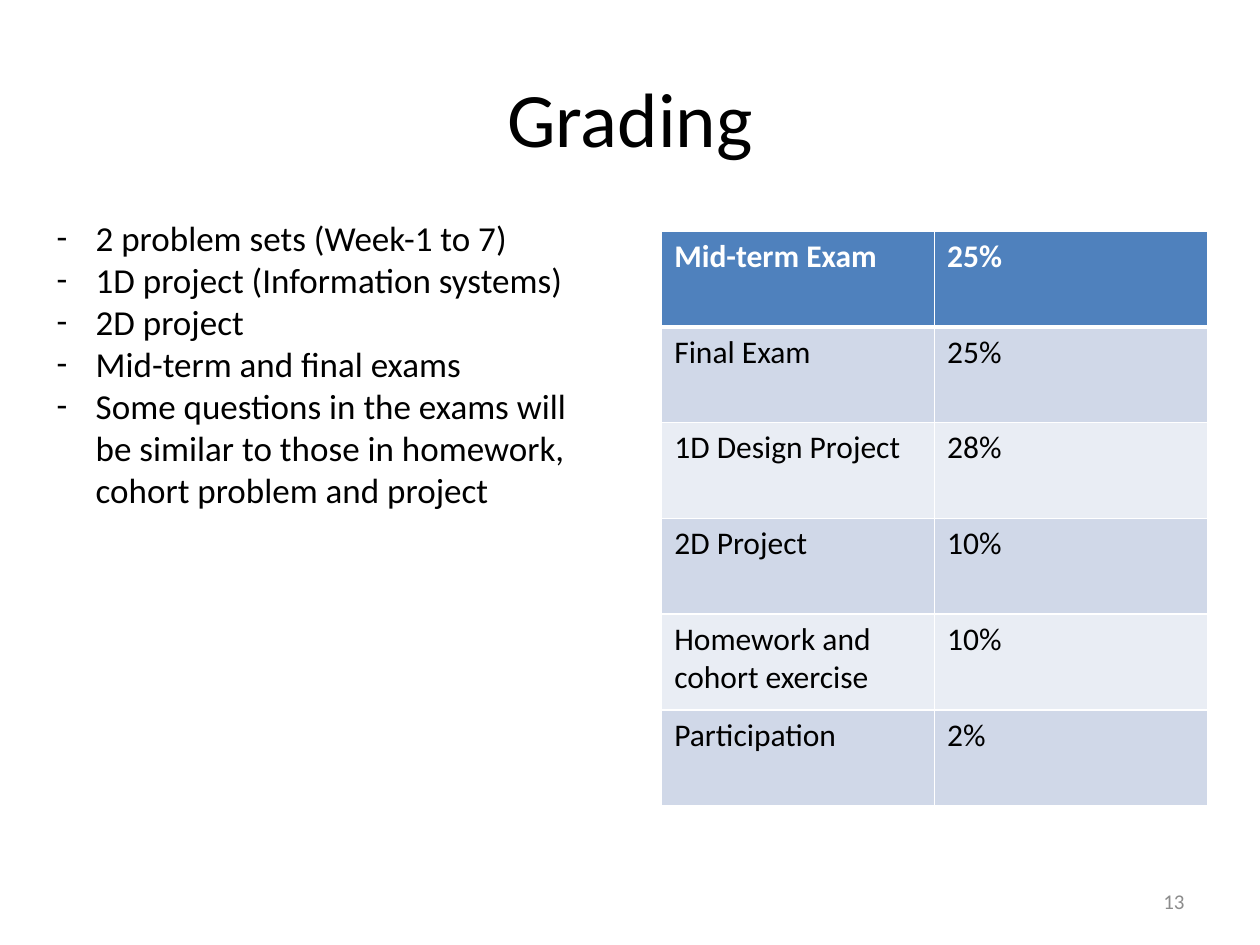
from typing import NamedTuple

from lxml import etree
from pptx import Presentation
from pptx import util as u
from pptx.dml.color import RGBColor
from pptx.enum import text as t
from pptx.oxml.ns import qn

BLACK = RGBColor(0x00, 0x00, 0x00)
WHITE = RGBColor(0xFF, 0xFF, 0xFF)
GREY = RGBColor(0x8C, 0x8C, 0x8C)
BLUE = RGBColor(0x4F, 0x81, 0xBD)
BANDS = (RGBColor(0xE9, 0xED, 0xF4), RGBColor(0xD0, 0xD8, 0xE8))


class Box(NamedTuple):
    left: float
    top: float
    width: float
    height: float


class Grade(NamedTuple):
    item: str
    share: str


TITLE = Box(1.27, 0.76, 22.86, 3.18)
NOTES = Box(0.89, 4.24, 11.63, 7.95)
NUMBER = Box(18.21, 17.65, 5.92, 1.02)
TABLE = Box(13.34, 4.66, 11, 11.58)

POINTS = [
    "2 problem sets (Week-1 to 7)",
    "1D project (Information systems)",
    "2D project",
    "Mid-term and final exams",
    "Some questions in the exams will be similar to those in homework, "
    "cohort problem and project",
]
GRADES = [
    Grade("Mid-term Exam", "25%"),
    Grade("Final Exam", "25%"),
    Grade("1D Design Project", "28%"),
    Grade("2D Project", "10%"),
    Grade("Homework and cohort exercise", "10%"),
    Grade("Participation", "2%"),
]


def write(frame, *lines: str, size: float, color=BLACK, bold=False,
          align=t.PP_ALIGN.LEFT, anchor=t.MSO_ANCHOR.TOP, dash=False) -> None:
    frame.word_wrap = True
    frame.vertical_anchor = anchor
    for i, line in enumerate(lines):
        para = frame.paragraphs[0] if i == 0 else frame.add_paragraph()
        para.alignment = align
        run = para.add_run()
        run.text = line
        font = run.font
        font.name, font.size, font.bold = "Calibri", u.Pt(size), bold
        font.color.rgb = color
        if dash:
            hang(para)


def hang(para) -> None:
    """Give the paragraph a dash bullet with a hanging indent."""
    props = para._p.get_or_add_pPr()
    dent = u.Cm(0.79)
    props.set("marL", str(dent))
    props.set("indent", str(-dent))
    etree.SubElement(props, qn("a:buFont"), typeface="Calibri")
    etree.SubElement(props, qn("a:buChar"), char="-")


def edge(cell, side: str, width: float) -> None:
    line = etree.SubElement(cell._tc.get_or_add_tcPr(), qn(f"a:ln{side}"),
                            w=str(u.Pt(width)))
    fill = etree.SubElement(line, qn("a:solidFill"))
    etree.SubElement(fill, qn("a:srgbClr"), val=str(WHITE))


def add_text(slide, box: Box, *lines: str, **form) -> None:
    shape = slide.shapes.add_textbox(*map(u.Cm, box))
    write(shape.text_frame, *lines, **form)


def add_grades(slide, box: Box, grades: list[Grade]) -> None:
    table = slide.shapes.add_table(len(grades), 2, *map(u.Cm, box)).table
    for r, grade in enumerate(grades):
        head = r == 0
        for c, words in enumerate(grade):
            cell = table.cell(r, c)
            widths = {"L": 1, "R": 1, "T": 3 if r == 1 else 1,
                      "B": 3 if head else 1}
            for side, width in widths.items():
                edge(cell, side, width)
            cell.fill.solid()
            cell.fill.fore_color.rgb = BLUE if head else BANDS[r % 2]
            write(cell.text_frame, words, size=18, bold=head,
                  color=WHITE if head else BLACK)


def main() -> None:
    deck = Presentation()
    deck.slide_width, deck.slide_height = u.Cm(25.4), u.Cm(19.05)
    slide = deck.slides.add_slide(deck.slide_layouts[5])
    title = slide.shapes.title
    title.left, title.top, title.width, title.height = map(u.Cm, TITLE)
    write(title.text_frame, "Grading", size=44, align=t.PP_ALIGN.CENTER,
          anchor=t.MSO_ANCHOR.MIDDLE)
    add_text(slide, NOTES, *POINTS, size=20, dash=True)
    add_text(slide, NUMBER, "13", size=12, color=GREY,
             align=t.PP_ALIGN.RIGHT, anchor=t.MSO_ANCHOR.MIDDLE)
    add_grades(slide, TABLE, GRADES)
    deck.save("out.pptx")


if __name__ == "__main__":
    main()
